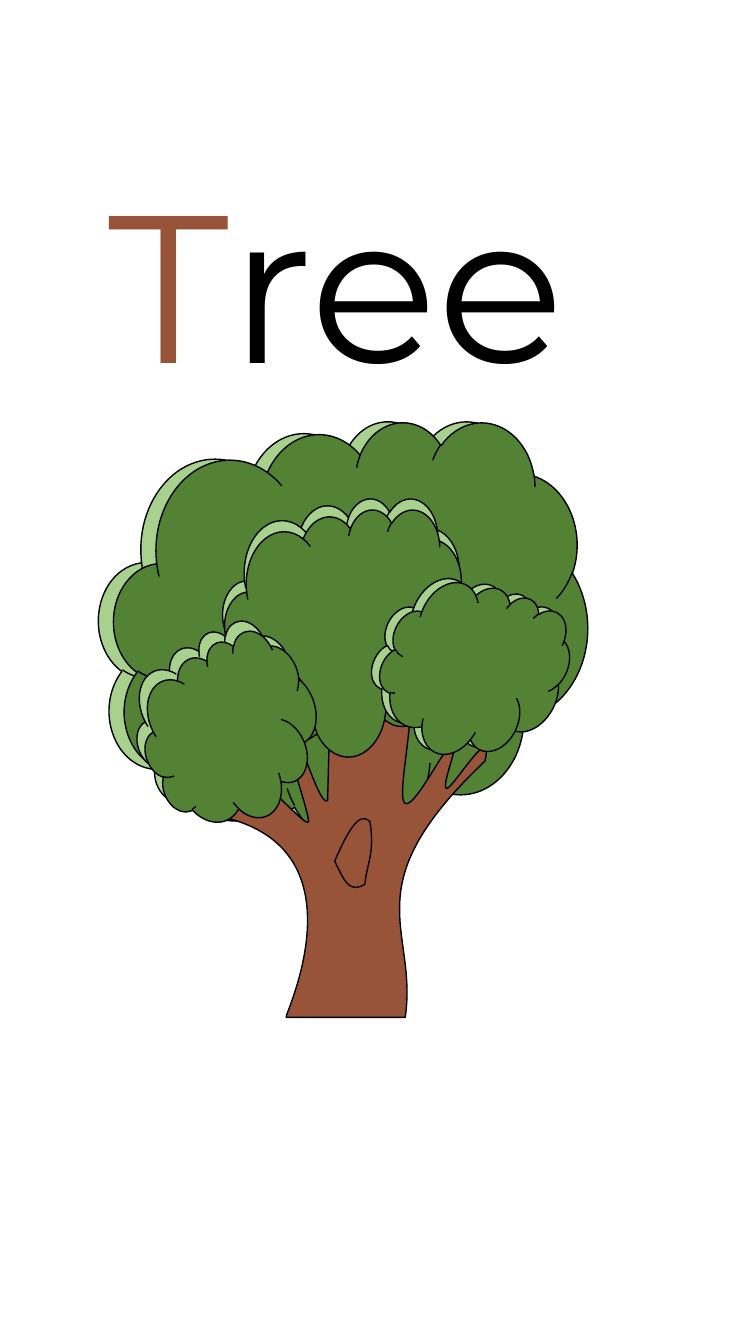
from dataclasses import dataclass

from lxml import etree
from pptx import Presentation
from pptx.dml.color import RGBColor
from pptx.enum.shapes import MSO_SHAPE
from pptx.enum.text import MSO_ANCHOR, MSO_AUTO_SIZE, PP_ALIGN
from pptx.oxml.ns import qn
from pptx.shapes.autoshape import Shape
from pptx.shapes.shapetree import GroupShapes
from pptx.util import Emu, Pt

CLOUD = MSO_SHAPE.CLOUD
LEFT = PP_ALIGN.LEFT
TOP = MSO_ANCHOR.TOP
FIT_SHAPE = MSO_AUTO_SIZE.SHAPE_TO_FIT_TEXT
TITLE_ONLY = 5
EMU_PER_PX = 9144  # 100 px to the inch

Point = tuple[int, int]


@dataclass(frozen=True)
class Theme:
    ink: RGBColor = RGBColor(0x00, 0x00, 0x00)
    bark: RGBColor = RGBColor(0x97, 0x54, 0x39)
    leaf: RGBColor = RGBColor(0x54, 0x82, 0x35)
    highlight: RGBColor = RGBColor(0xA9, 0xD1, 0x8E)
    font: str = "Montserrat"
    word_size: Pt = Pt(150)
    outline: Pt = Pt(1)
    letter_outline: Pt = Pt(0.75)


@dataclass(frozen=True)
class Clump:
    """A cloud of leaves; its front lies (dx, dy) from its lit back."""
    left: int
    top: int
    width: int
    height: int
    dx: int
    dy: int
    rotation: float = 0


@dataclass(frozen=True)
class Outline:
    """A closed path; a step of one point is a line, of three a Bézier curve."""
    start: Point
    steps: tuple[tuple[Point, ...], ...]


THEME = Theme()
CROWN = Clump(98, 417, 470, 421, 15, 1)
MIDDLE = Clump(221, 494, 240, 245, 2, 11)
RIGHT_CLUMP = Clump(374, 572, 175, 178, 8, 4, 26.5)
LEFT_CLUMP = Clump(134, 628, 175, 178, 8, 10, 338.5)

TRUNK = Outline((328, 678), (
    ((402, 678),),
    ((418, 683), (393, 786), (401, 796)),
    ((409, 806), (438, 746), (448, 738)),
    ((459, 730), (437, 779), (443, 782)),
    ((448, 784), (491, 712), (481, 755)),
    ((348, 881), (415, 920), (402, 1009)),
    ((284, 1009),),
    ((278, 1015), (367, 842), (219, 810)),
    ((211, 772), (229, 776), (240, 777)),
    ((243, 744), (310, 832), (306, 813)),
    ((303, 794), (276, 718), (283, 719)),
    ((293, 710), (316, 802), (325, 794)),
))
KNOT = Outline((332, 854), (
    ((344, 827), (356, 803), (367, 815)),
    ((372, 846), (364, 856), (362, 877)),
    ((347, 886), (342, 875), (332, 854)),
))


def px(length: int) -> Emu:
    return Emu(length * EMU_PER_PX)


def style(shape: Shape, fill: RGBColor | None) -> None:
    shape.shadow.inherit = False
    if fill is None:
        shape.fill.background()
    else:
        shape.fill.solid()
        shape.fill.fore_color.rgb = fill
    shape.line.color.rgb = THEME.ink
    shape.line.width = THEME.outline


def add_leaves(tree: GroupShapes, clump: Clump, front: bool) -> None:
    left = clump.left + clump.dx * front
    top = clump.top + clump.dy * front
    leaves = tree.add_shape(CLOUD, px(left), px(top),
                            px(clump.width), px(clump.height))
    leaves.rotation = clump.rotation
    style(leaves, THEME.leaf if front else THEME.highlight)


def add_outline(tree: GroupShapes, outline: Outline, fill: RGBColor | None) -> None:
    """Join the end points of the steps, then bend the curved ones."""
    builder = tree.build_freeform(*map(px, outline.start))
    builder.add_line_segments([tuple(map(px, step[-1])) for step in outline.steps],
                              close=True)
    bark = builder.convert_to_shape()
    edges = list(bark._element.iter(qn("a:lnTo")))
    for edge, step in zip(edges, outline.steps):
        if len(step) == 3:
            bend(edge, step, bark)
    style(bark, fill)


def bend(edge: etree._Element, curve: tuple[Point, ...], bark: Shape) -> None:
    bezier = etree.Element(qn("a:cubicBezTo"))
    for x, y in curve:
        etree.SubElement(bezier, qn("a:pt"),
                         x=str(px(x) - bark.left), y=str(px(y) - bark.top))
    edge.getparent().replace(edge, bezier)


def outline_letter(letter) -> None:
    line = etree.Element(qn("a:ln"), w=str(int(THEME.letter_outline)))
    fill = etree.SubElement(line, qn("a:solidFill"))
    etree.SubElement(fill, qn("a:srgbClr"), val=str(THEME.ink))
    letter._r.get_or_add_rPr().insert(0, line)


def write_word(title: Shape) -> None:
    title.left, title.top, title.width, title.height = map(px, (98, 147, 598, 263))
    frame = title.text_frame
    frame.word_wrap = True
    frame.auto_size = FIT_SHAPE
    frame.vertical_anchor = TOP
    word = frame.paragraphs[0]
    word.alignment = LEFT
    for letters, color in (("T", THEME.bark), ("ree", THEME.ink)):
        run = word.add_run()
        run.text = letters
        run.font.color.rgb = color
    for part in (word, *word.runs):
        part.font.name = THEME.font
        part.font.size = THEME.word_size
    outline_letter(word.runs[0])


def draw_tree(tree: GroupShapes) -> None:
    add_leaves(tree, CROWN, front=False)
    add_leaves(tree, CROWN, front=True)
    add_outline(tree, TRUNK, THEME.bark)
    add_leaves(tree, MIDDLE, front=False)
    add_leaves(tree, MIDDLE, front=True)
    for clump in (RIGHT_CLUMP, LEFT_CLUMP):
        add_leaves(tree, clump, front=False)
    add_outline(tree, KNOT, None)
    for clump in (RIGHT_CLUMP, LEFT_CLUMP):
        add_leaves(tree, clump, front=True)


def main() -> None:
    deck = Presentation()
    deck.slide_width, deck.slide_height = px(750), px(1333)
    slide = deck.slides.add_slide(deck.slide_layouts[TITLE_ONLY])
    write_word(slide.shapes.title)
    draw_tree(slide.shapes.add_group_shape().shapes)
    deck.save("out.pptx")


if __name__ == "__main__":
    main()
